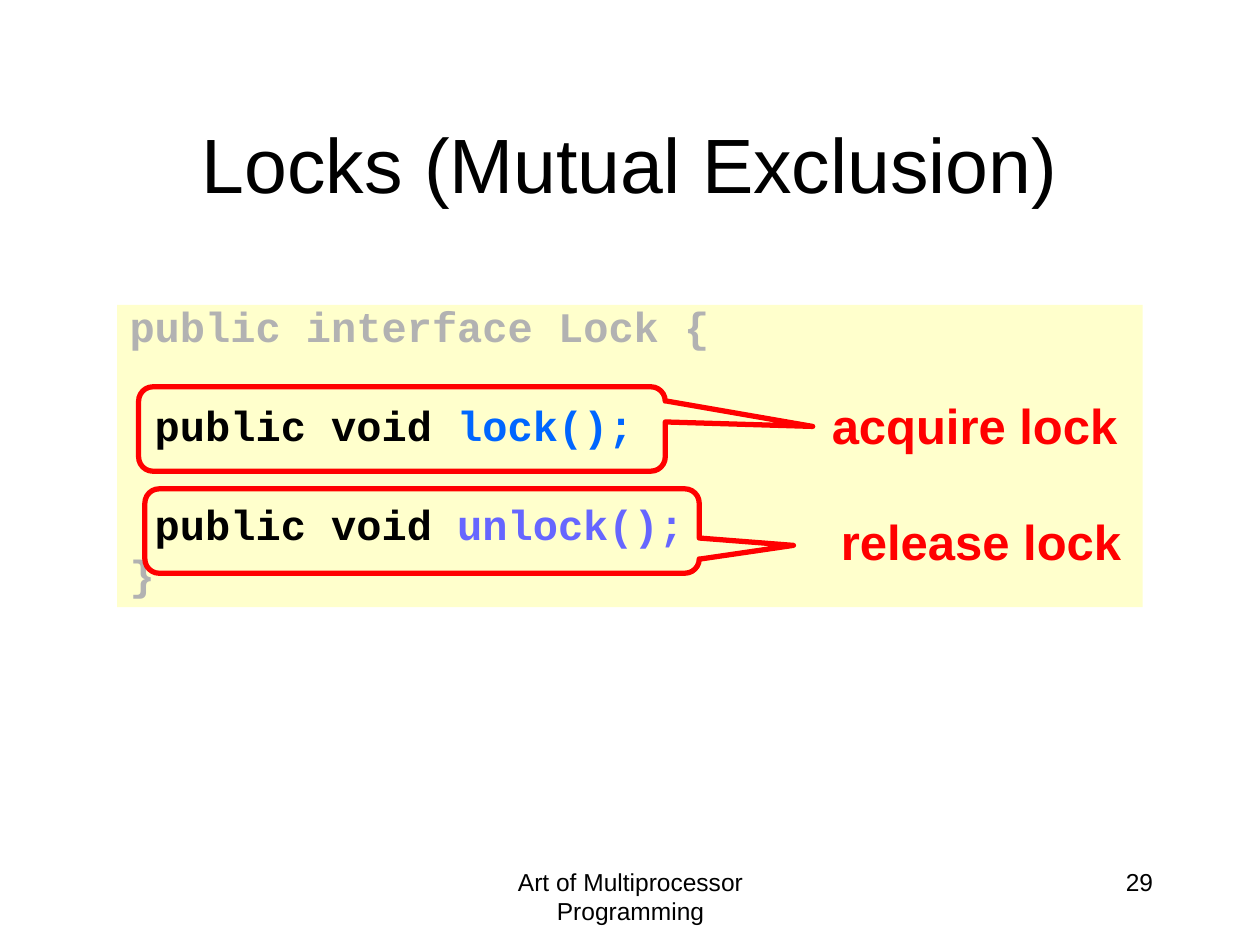
from pptx import Presentation
from pptx.dml.color import RGBColor
from pptx.enum.shapes import MSO_SHAPE
from pptx.enum.text import MSO_ANCHOR, PP_ALIGN
from pptx.util import Inches, Pt

COLS, ROWS = 100, 75
RED, BLACK, GREY = "FF0000", "000000", "B2B2B2"


def tint(code):
    return RGBColor.from_string(code)


class Deck:
    styles = {
        "title": {"name": "Arial", "size": Pt(44), "bold": False},
        "foot": {"name": "Arial", "size": Pt(14), "bold": False},
        "label": {"name": "Arial", "size": Pt(28), "bold": True},
        "code": {"name": "Courier New", "size": Pt(24), "bold": True},
    }

    def __init__(self):
        self.prs = Presentation()
        self.prs.slide_width, self.prs.slide_height = Inches(10), Inches(7.5)
        self.slide = self.prs.slides.add_slide(self.prs.slide_layouts[5])

    def place(self, box):
        x, y, w, h = box
        wide, high = self.prs.slide_width / COLS, self.prs.slide_height / ROWS
        return int(x * wide), int(y * high), int(w * wide), int(h * high)

    def letter(self, para, text, style, color, align):
        para.alignment = align
        run = para.add_run()
        run.text = text
        for key, value in self.styles[style].items():
            setattr(run.font, key, value)
        run.font.color.rgb = tint(color)

    def title(self, text, box):
        shape = self.slide.shapes.title
        shape.left, shape.top, shape.width, shape.height = self.place(box)
        shape.text_frame.vertical_anchor = MSO_ANCHOR.MIDDLE
        self.letter(shape.text_frame.paragraphs[0], text, "title", BLACK, PP_ALIGN.CENTER)

    def text(self, text, box, style, color, align=PP_ALIGN.CENTER):
        frame = self.slide.shapes.add_textbox(*self.place(box)).text_frame
        frame.word_wrap = True
        self.letter(frame.paragraphs[0], text, style, color, align)

    def code(self, lines, box):
        shape = self.slide.shapes.add_shape(MSO_SHAPE.RECTANGLE, *self.place(box))
        shape.shadow.inherit = False
        shape.fill.solid()
        shape.fill.fore_color.rgb = tint("FFFFCC")
        shape.line.fill.background()
        frame = shape.text_frame
        frame.word_wrap = True
        frame.vertical_anchor = MSO_ANCHOR.MIDDLE
        for i, (gap, runs) in enumerate(lines):
            para = frame.add_paragraph() if i else frame.paragraphs[0]
            para.line_spacing = 0.7
            para.space_before = Pt(gap)
            for text, color in runs:
                self.letter(para, text, "code", color, PP_ALIGN.LEFT)

    def callout(self, box, tip):
        shape = self.slide.shapes.add_shape(
            MSO_SHAPE.ROUNDED_RECTANGULAR_CALLOUT, *self.place(box))
        shape.shadow.inherit = False
        shape.fill.background()
        shape.line.color.rgb = tint(RED)
        shape.line.width = Pt(3)
        for i, value in enumerate((*tip, 0.17)):
            shape.adjustments[i] = value


def main():
    deck = Deck()
    deck.text("Art of Multiprocessor Programming", (34.2, 68.3, 31.7, 5), "foot", BLACK)
    deck.text("29", (71.7, 68.3, 20.8, 5), "foot", BLACK, PP_ALIGN.RIGHT)
    deck.title("Locks (Mutual Exclusion)", (7.5, 6.7, 85, 12.5))
    near, far = 8.6, 36.3
    deck.code([
        (0, [("public interface Lock {", GREY)]),
        (far, [(" public void ", BLACK), ("lock();", "0066FF")]),
        (far, [(" public void ", BLACK), ("unlock();", "6666FF")]),
        (near, [("}", GREY)]),
    ], (9.3, 24.2, 81.4, 24))
    deck.callout((11.5, 38.8, 44, 6.7), (0.67, 0.17))
    deck.text("release lock", (64.9, 40.1, 25.9, 5.7), "label", RED)
    deck.callout((11, 30.7, 41.8, 6.7), (0.78, -0.03))
    deck.text("acquire lock", (64, 30.9, 26.7, 5.7), "label", RED)
    deck.prs.save("out.pptx")


if __name__ == "__main__":
    main()
